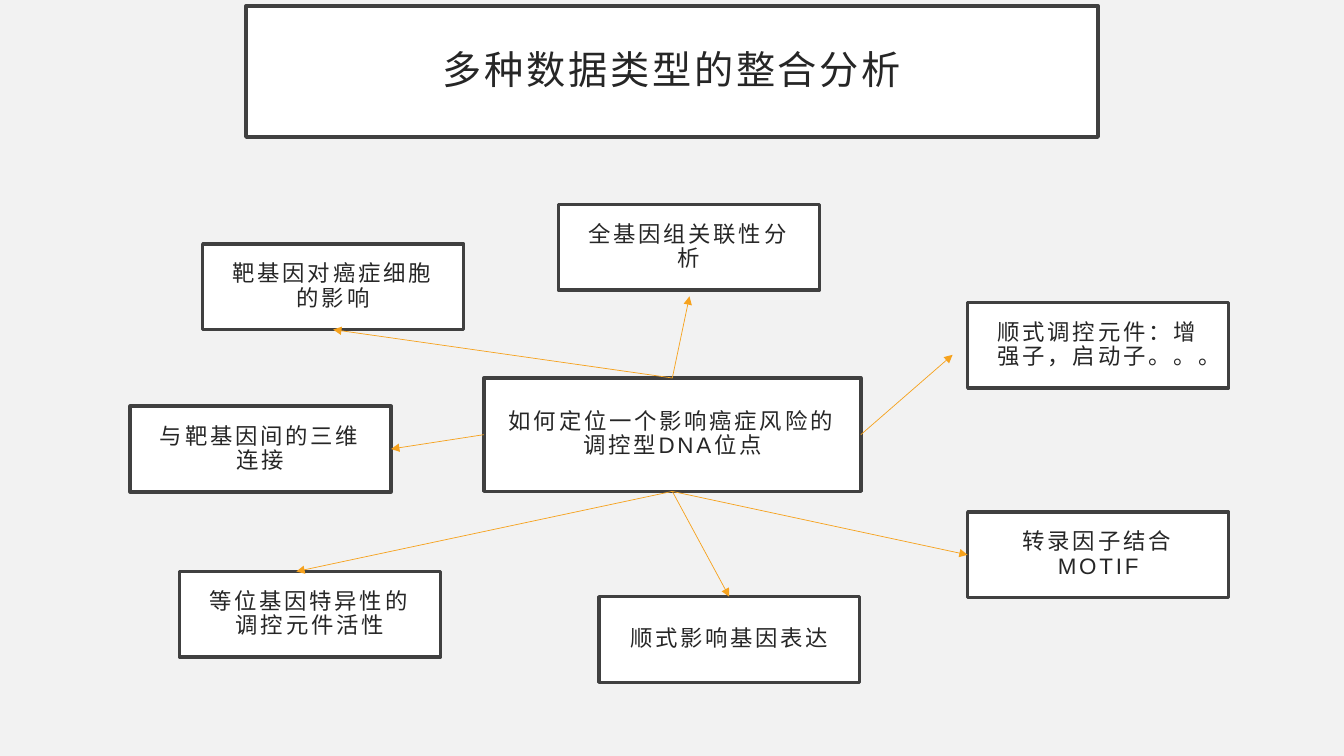
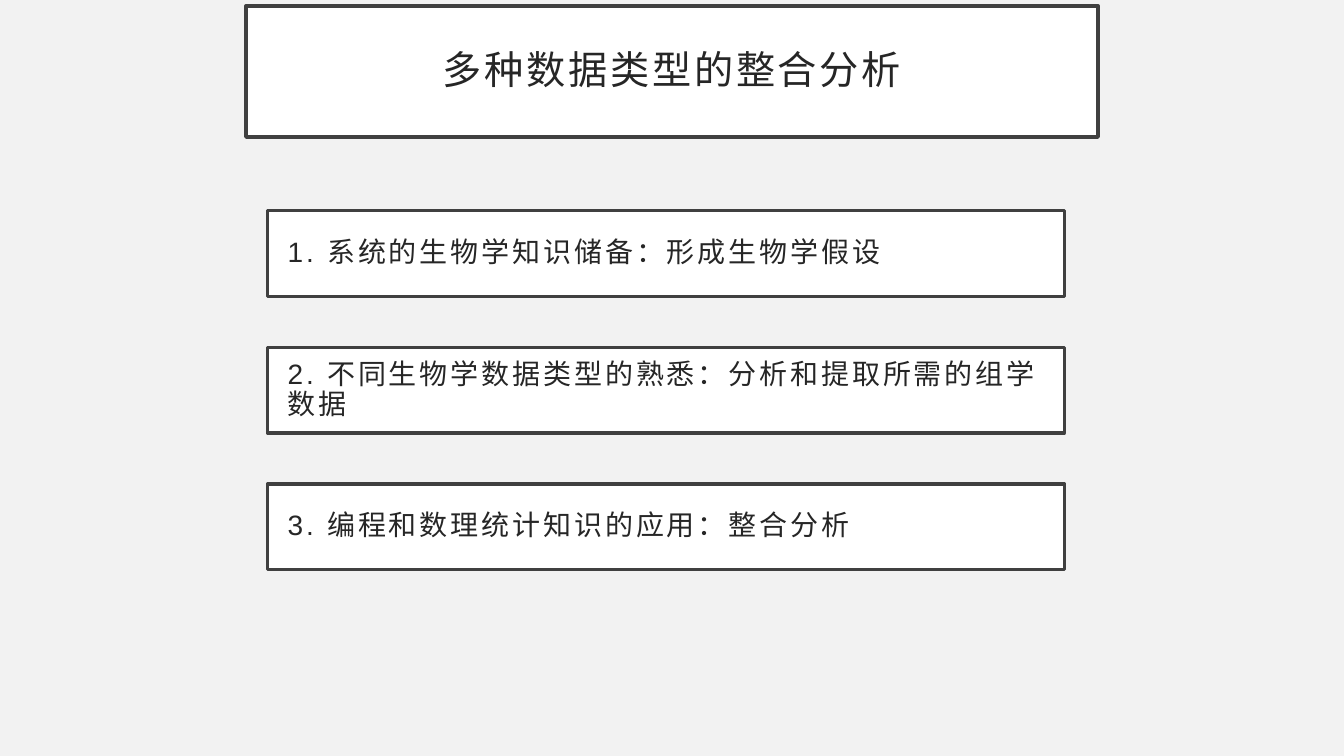
from lxml.etree import SubElement
from pptx import Presentation
from pptx.dml.color import RGBColor
from pptx.enum.lang import MSO_LANGUAGE_ID
from pptx.enum.shapes import MSO_CONNECTOR, MSO_SHAPE
from pptx.enum.text import MSO_ANCHOR, PP_ALIGN
from pptx.oxml.ns import qn
from pptx.util import Inches, Pt

TOP, LEFT, BOTTOM, RIGHT = range(4)
TITLE = "多种数据类型的整合分析"
CORE = "如何定位一个影响癌症风险的调控型DNA位点"
NODE_SIZE = (19.42, 11.33)

# text, left, top, side of the core box, side of the node or a free end point
NODES = [
    ("全基因组关联性分析", 41.55, 27.07, TOP, (51.3, 39.2)),
    ("顺式调控元件：增强子，启动子。。。", 72, 40, RIGHT, (70.88, 46.93)),
    ("转录因子结合MOTIF", 72, 67.73, BOTTOM, LEFT),
    ("顺式影响基因表达", 44.55, 78.93, BOTTOM, TOP),
    ("等位基因特异性的调控元件活性", 13.35, 75.6, BOTTOM, (22.05, 75.6)),
    ("与靶基因间的三维连接", 9.68, 53.73, LEFT, RIGHT),
    ("靶基因对癌症细胞的影响", 15.08, 32.27, TOP, BOTTOM),
]

STEPS = [
    "1. 系统的生物学知识储备：形成生物学假设",
    "2. 不同生物学数据类型的熟悉：分析和提取所需的组学数据",
    "3. 编程和数理统计知识的应用：整合分析",
]


def color(code):
    return RGBColor.from_string(code)


def write(frame, text, size=16, font="Arial", ink="262626", align=PP_ALIGN.CENTER, tracking=2):
    para = frame.paragraphs[0]
    para.alignment = align
    para.line_spacing = 0.9
    span = para.add_run()
    span.text = text
    span.font.size = Pt(size)
    span.font.name = font
    span.font.color.rgb = color(ink)
    span.font.language_id = MSO_LANGUAGE_ID.SIMPLIFIED_CHINESE
    span._r.get_or_add_rPr().set("spc", str(tracking * 100))


class Slides:
    BACKGROUND, PANEL, BORDER, ARROW = "F2F2F2", "FFFFFF", "404040", "F6A21D"

    def __init__(self):
        self.deck = Presentation()
        self.deck.slide_width = Inches(13.33)
        self.deck.slide_height = Inches(7.5)
        self.page = None

    def across(self, share):
        return round(self.deck.slide_width * share / 100)

    def down(self, share):
        return round(self.deck.slide_height * share / 100)

    def new_page(self, title):
        self.page = self.deck.slides.add_slide(self.deck.slide_layouts[6])
        fill = self.page.background.fill
        fill.solid()
        fill.fore_color.rgb = color(self.BACKGROUND)
        self.panel(title, 18.3, 0.8, 63.4, 17.33, size=28, font="Calibri")

    def panel(self, text, left, top, width, height, **style):
        box = self.page.shapes.add_shape(
            MSO_SHAPE.RECTANGLE,
            self.across(left), self.down(top), self.across(width), self.down(height),
        )
        box.shadow.inherit = False
        box.fill.solid()
        box.fill.fore_color.rgb = color(self.PANEL)
        box.line.color.rgb = color(self.BORDER)
        box.line.width = Pt(2.5)
        frame = box.text_frame
        frame.word_wrap = True
        frame.vertical_anchor = MSO_ANCHOR.MIDDLE
        frame.margin_left = frame.margin_right = Inches(0.2)
        frame.margin_top = frame.margin_bottom = Inches(0.2)
        write(frame, text, **style)
        return box

    def arrow(self, start, start_side, target, end):
        free_end = isinstance(end, tuple)
        x, y = end if free_end else (0, 0)
        arrow = self.page.shapes.add_connector(
            MSO_CONNECTOR.STRAIGHT, 0, 0, self.across(x), self.down(y)
        )
        arrow.begin_connect(start, start_side)
        if not free_end:
            arrow.end_connect(target, end)
        arrow.line.color.rgb = color(self.ARROW)
        arrow.line.width = Pt(0.5)
        SubElement(arrow.line._get_or_add_ln(), qn("a:tailEnd"), type="triangle")
        SubElement(arrow._element.spPr, qn("a:effectLst"))


def main():
    slides = Slides()

    slides.new_page(TITLE)
    core = slides.panel(CORE, 36, 50, 28.05, 15)
    for text, left, top, core_side, end in NODES:
        node = slides.panel(text, left, top, *NODE_SIZE)
        slides.arrow(core, core_side, node, end)

    slides.new_page(TITLE)
    for row, text in enumerate(STEPS):
        slides.panel(text, 19.9, 27.87 + 18.07 * row, 59.3, 11.33, size=20, align=PP_ALIGN.LEFT)

    slides.deck.save("out.pptx")


if __name__ == "__main__":
    main()
